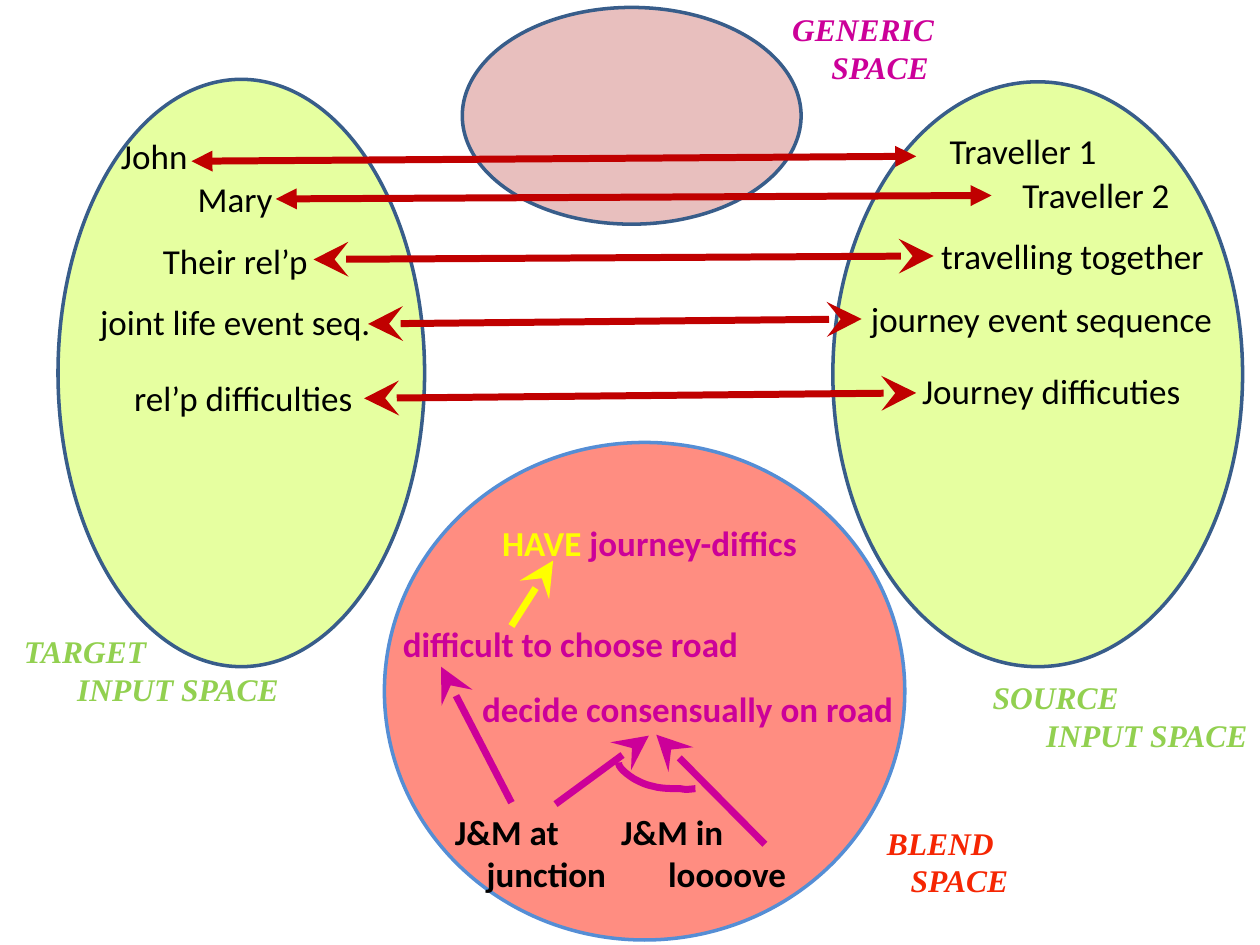
from lxml import etree
from pptx import Presentation
from pptx import util as u
from pptx.dml.color import RGBColor
from pptx.enum import shapes, text
from pptx.oxml.ns import qn

HUES = {
    "lime": "DDFF7D", "coral": "FF8D81", "rose": "E6B9B8",
    "navy": "385D8A", "sky": "558ED5", "red": "C00000",
    "pink": "CC0099", "yellow": "FFFF00", "green": "92D050",
    "flame": "F52603", "black": "000000",
}
SIDES = {"l": text.PP_ALIGN.LEFT, "c": text.PP_ALIGN.CENTER, "r": text.PP_ALIGN.RIGHT}


def hue(name):
    return RGBColor.from_string(HUES[name])


def write(para, runs, side="l", indent=0, size=20, face="Calibri",
          color="black", bold=False, slant=False):
    """Fill a paragraph; runs is a string or a list of (string, colour)."""
    para.alignment = SIDES[side]
    if indent:
        para._p.get_or_add_pPr().set("marL", str(u.Cm(indent)))
    for words, tint in [(runs, color)] if isinstance(runs, str) else runs:
        run = para.add_run()
        run.text = words
        font = run.font
        font.size, font.name, font.bold, font.italic = u.Pt(size), face, bold, slant
        font.color.rgb = hue(tint)


class Board:
    thick = 4   # arrows and arc, points
    rim = 2     # outlines of the spaces, points

    def __init__(self, slide):
        self.slide = slide
        self.shapes = slide.shapes

    def oval(self, x, y, w, h, fill, edge, alpha=100):
        oval = self.shapes.add_shape(
            shapes.MSO_SHAPE.OVAL, u.Cm(x), u.Cm(y), u.Cm(w), u.Cm(h))
        oval.shadow.inherit = False
        oval.fill.solid()
        oval.fill.fore_color.rgb = hue(fill)
        if alpha < 100:
            tone = oval._element.spPr.find(qn("a:solidFill"))[0]
            etree.SubElement(tone, qn("a:alpha")).set("val", str(alpha * 1000))
        oval.line.color.rgb = hue(edge)
        oval.line.width = u.Pt(self.rim)

    def label(self, x, y, w, *lines, sides="ll", indent=0, **style):
        """One paragraph per line; the indent applies from the second on."""
        box = self.shapes.add_textbox(
            u.Cm(x), u.Cm(y), u.Cm(w), u.Cm(1.12 if len(lines) == 1 else 1.9))
        frame = box.text_frame
        frame.word_wrap = True
        for i, line in enumerate(lines):
            para = frame.add_paragraph() if i else frame.paragraphs[0]
            write(para, line, side=sides[i], indent=indent if i else 0, **style)

    def arrow(self, x1, y1, x2, y2, color, kind="stealth", both=False):
        link = self.shapes.add_connector(
            shapes.MSO_CONNECTOR.STRAIGHT, u.Cm(x1), u.Cm(y1), u.Cm(x2), u.Cm(y2))
        link.line.color.rgb = hue(color)
        link.line.width = u.Pt(self.thick)
        size = "lg" if kind == "stealth" else "med"
        for end in ("headEnd", "tailEnd") if both else ("tailEnd",):
            tip = etree.SubElement(link.line._get_or_add_ln(), qn("a:" + end))
            for key, val in (("type", kind), ("w", size), ("len", size)):
                tip.set(key, val)
        etree.SubElement(link._element.spPr, qn("a:effectLst"))

    def curve(self, start, bends, color, steps=6):
        """Open line through cubic bends, each (handle, handle, end)."""
        dots, last = [], start
        for a, b, end in bends:
            for t in (i / steps for i in range(1, steps + 1)):
                s = 1 - t
                dots.append(tuple(
                    u.Cm(s**3 * p + 3 * s * s * t * q + 3 * s * t * t * r + t**3 * e)
                    for p, q, r, e in zip(last, a, b, end)))
            last = end
        pen = self.shapes.build_freeform(u.Cm(start[0]), u.Cm(start[1]))
        pen.add_line_segments(dots, close=False)
        arc = pen.convert_to_shape()
        arc.shadow.inherit = False
        arc.fill.background()
        arc.line.color.rgb = hue(color)
        arc.line.width = u.Pt(self.thick)


def main():
    deck = Presentation()
    deck.slide_width, deck.slide_height = u.Cm(25.4), u.Cm(19.05)
    board = Board(deck.slides.add_slide(deck.slide_layouts[6]))

    # The four spaces
    board.oval(1.17, 1.6, 7.39, 11.84, "lime", "navy", 73)
    board.oval(7.75, 8.92, 10.49, 10.03, "coral", "sky")
    board.oval(16.79, 1.65, 8.26, 11.79, "lime", "navy", 73)
    board.oval(9.32, 0.15, 6.83, 4.37, "rose", "navy", 90)

    # Names of the spaces
    title = dict(size=18, face="Times New Roman", bold=True, slant=True)
    board.label(15.72, 0.08, 5, "GENERIC", "SPACE", indent=0.79, color="pink", **title)
    board.label(17.63, 16.48, 3.3, "BLEND", "SPACE", indent=0.48, color="flame", **title)
    for x, y, name in ((0.23, 12.62, "TARGET"), (19.76, 13.54, "SOURCE")):
        board.label(x, y, 5.64, name, "INPUT SPACE", sides="lr", color="green", **title)

    # Items of the target and source spaces
    for x, y, w, item in (
        (2.13, 2.59, 1.96, "John"),
        (3.51, 3.45, 2.46, "Mary"),
        (1.75, 4.7, 5.99, "Their rel’p"),
        (1.52, 5.94, 6.45, "joint life event seq."),
        (1.68, 7.47, 6.45, "rel’p difficulties"),
        (17.73, 2.49, 5.79, "Traveller 1"),
        (19.53, 3.38, 5.13, "Traveller 2"),
        (18.57, 4.6, 6.1, "travelling together"),
        (17.25, 5.87, 7.49, "journey event sequence"),
        (17.73, 7.32, 6.93, "Journey difficuties"),
    ):
        board.label(x, y, w, item, sides="c")

    # Mappings between target and source
    for *ends, kind in (
        (3.86, 3.25, 18.47, 3.15, "triangle"),
        (5.56, 4.01, 19.99, 3.94, "triangle"),
        (6.32, 5.23, 18.82, 5.16, "stealth"),
        (7.42, 6.53, 17.37, 6.43, "stealth"),
        (7.34, 8.03, 18.47, 7.92, "stealth"),
    ):
        board.arrow(*ends, "red", kind, both=True)

    # Items of the blend
    board.label(8.69, 10.39, 8.81, [("HAVE ", "yellow"), ("journey-diffics", "pink")],
                sides="c", bold=True)
    board.label(7.87, 12.42, 8.79, "difficult to choose road", color="pink", bold=True)
    board.label(9.2, 13.74, 9.06, "decide consensually on road",
                sides="r", color="pink", bold=True)
    board.label(8.92, 16.21, 4.93, "J&M at", "junction", indent=0.64, bold=True)
    board.label(12.27, 16.21, 4.93, "J&M in", "loooove", indent=0.95, bold=True)

    # Steps within the blend
    for *ends, color in (
        (10.31, 16.18, 8.89, 13.44, "pink"),
        (11.2, 16.21, 13.08, 14.83, "pink"),
        (15.42, 17.02, 13.23, 14.81, "pink"),
        (10.31, 12.62, 11.15, 11.3, "yellow"),
    ):
        board.arrow(*ends, color)

    # Arc that joins the two causes
    board.curve((12.47, 15.37), (
        ((12.47, 15.42), (12.5, 15.47), (12.55, 15.52)),
        ((12.6, 15.57), (12.67, 15.63), (12.78, 15.7)),
        ((12.88, 15.75), (13, 15.82), (13.16, 15.85)),
        ((13.31, 15.9), (13.59, 15.9), (13.72, 15.9)),
        ((13.87, 15.93), (13.94, 15.9), (14.02, 15.9)),
    ), "pink")

    deck.save("out.pptx")


if __name__ == "__main__":
    main()
